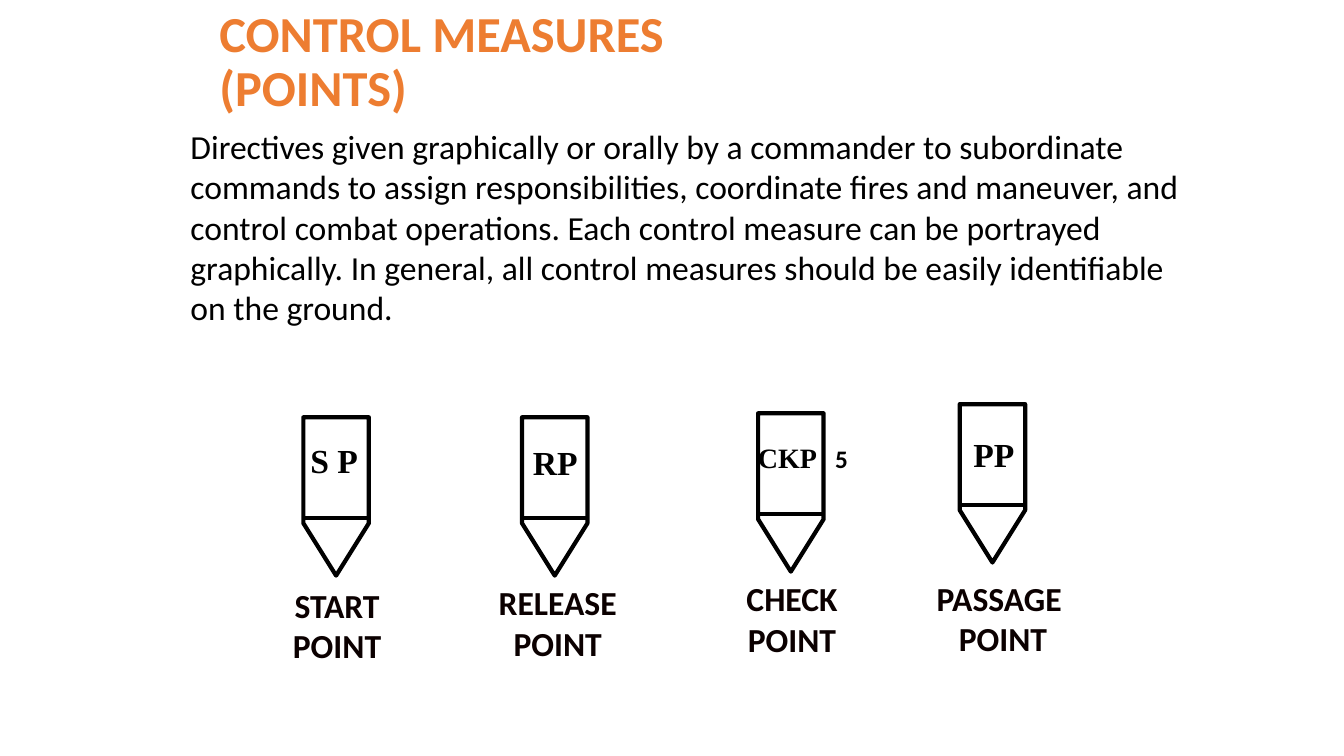
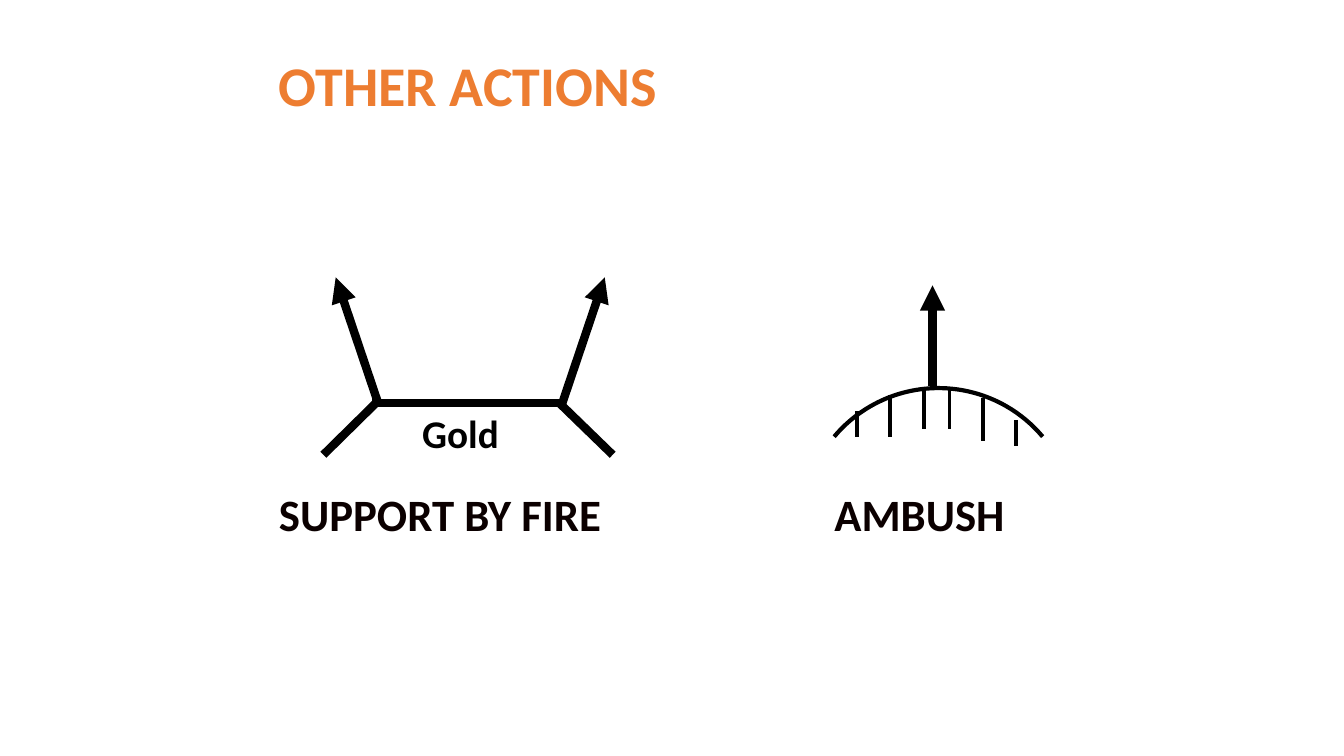
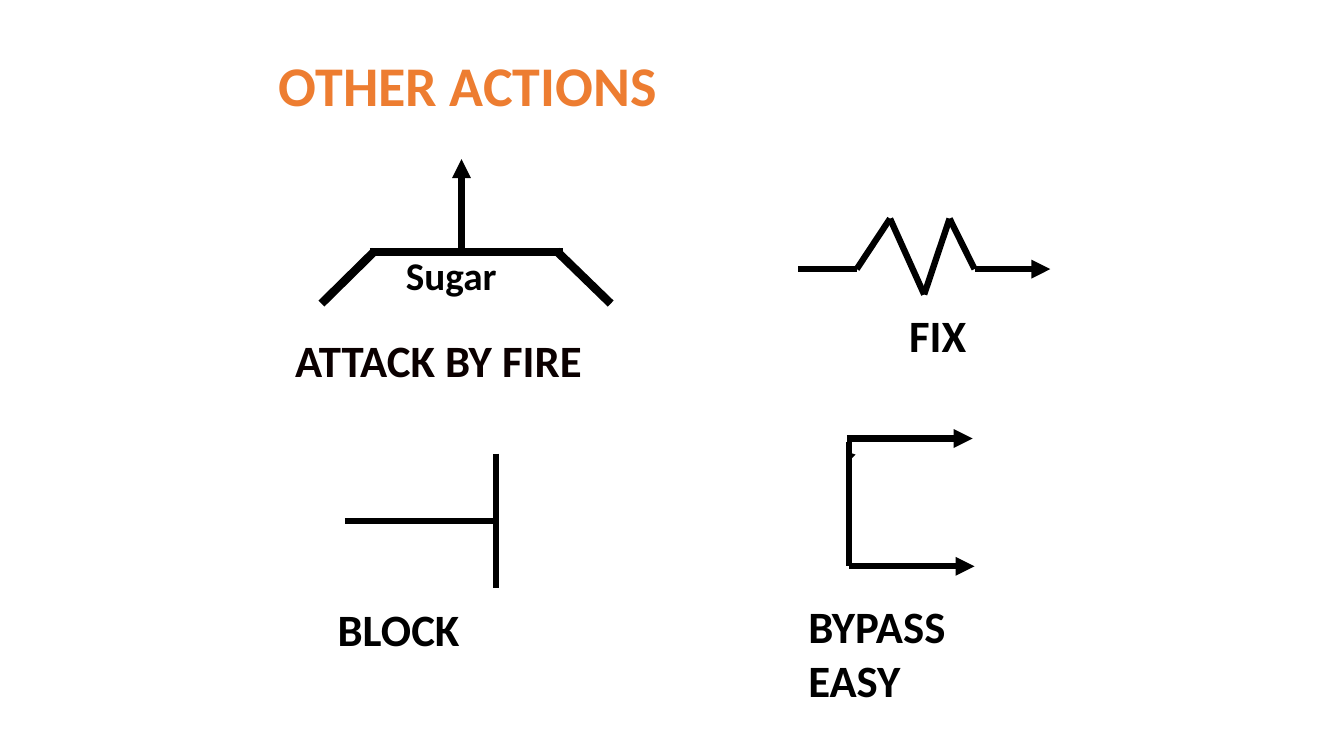
"""Builds three slides of tactical control measures and action symbols."""
import dataclasses
import itertools

import lxml.etree
import pptx
import pptx.dml.color
import pptx.enum.shapes
import pptx.enum.text
import pptx.oxml.ns
import pptx.shapes.autoshape
import pptx.slide
import pptx.util

Cm = pptx.util.Cm
COLOURS = {"title": "ED7D31", "ink": "000000", "name": "0B0000"}
SANS = "Calibri"
SERIF = "Times New Roman"


@dataclasses.dataclass
class Label:
    lines: tuple[str, ...]
    left: float
    top: float
    width: float
    height: float
    size: float = 32
    colour: str = "ink"
    font: str = SANS
    bold: bool = True
    wrap: bool = False
    centred: bool = False


@dataclasses.dataclass
class Stroke:
    x1: float
    y1: float
    x2: float
    y2: float
    weight: float = 4.5
    arrow: bool = False


@dataclasses.dataclass
class Marker:
    x: float
    y: float
    code: Label
    name: Label


def code_label(text: str, left: float, top: float, width: float, size: float = 24) -> Label:
    return Label((text,), left, top, width, 1.27, size, font=SERIF)


def point_label(lines: tuple[str, str], left: float, top: float, width: float) -> Label:
    return Label(lines, left, top, width, 2.31, 24, "name", centred=True)


BODY = (
    "Directives given graphically or orally by a commander to subordinate commands "
    "to assign responsibilities, coordinate fires and maneuver, and control combat "
    "operations. Each control measure can be portrayed graphically. In general, all "
    "control measures should be easily identifiable on the ground."
)

MARKERS = (
    Marker(8.47, 12.51, code_label("S P", 7.57, 10.95, 1.73),
           point_label(("START", "POINT"), 7.11, 14.61, 2.77)),
    Marker(13.98, 12.51, code_label("RP", 13.18, 11, 1.65),
           point_label(("RELEASE", "POINT"), 12.29, 14.55, 3.53)),
    Marker(19.93, 12.41, code_label("CKP", 18.85, 10.97, 2.01, 20),
           point_label(("CHECK", "POINT"), 18.54, 14.45, 2.84)),
    Marker(25.01, 12.18, code_label("PP", 24.28, 10.8, 1.55),
           point_label(("PASSAGE", " POINT"), 23.34, 14.43, 3.68)),
)

AMBUSH_TICKS = (
    (21.59, 10.36, 11), (22.43, 9.96, 11), (23.29, 9.8, 10.8),
    (23.93, 9.83, 10.8), (24.77, 10.03, 11.1), (25.6, 10.59, 11.23),
)

FIX_POINTS = (
    (20.12, 6.78), (21.59, 6.78), (22.43, 5.51), (23.29, 7.42),
    (23.93, 5.51), (24.56, 6.78), (26.47, 6.78),
)


def colour_of(name: str) -> pptx.dml.color.RGBColor:
    return pptx.dml.color.RGBColor.from_string(COLOURS[name])


def add_span(para, text: str, label: Label) -> None:
    span = para.add_run()
    span.text = text
    span.font.name = label.font
    span.font.size = pptx.util.Pt(label.size)
    span.font.bold = label.bold
    span.font.color.rgb = colour_of(label.colour)


def add_box(page: pptx.slide.Slide, label: Label):
    box = page.shapes.add_textbox(
        Cm(label.left), Cm(label.top), Cm(label.width), Cm(label.height))
    frame = box.text_frame
    frame.word_wrap = label.wrap
    return frame


def add_label(page: pptx.slide.Slide, label: Label) -> None:
    frame = add_box(page, label)
    frame.auto_size = pptx.enum.text.MSO_AUTO_SIZE.SHAPE_TO_FIT_TEXT
    for index, line in enumerate(label.lines):
        para = frame.add_paragraph() if index else frame.paragraphs[0]
        if label.centred:
            para.alignment = pptx.enum.text.PP_ALIGN.CENTER
        add_span(para, line, label)


def add_title(page: pptx.slide.Slide, lines: tuple[str, ...], left: float = 6.78,
              top: float = 0.64, width: float = 21.59, size: float = 40) -> None:
    label = Label(lines, left, top, width, 3.18, size, "title", wrap=True)
    frame = add_box(page, label)
    frame.vertical_anchor = pptx.enum.text.MSO_ANCHOR.MIDDLE
    para = frame.paragraphs[0]
    para.line_spacing = 0.9
    for index, line in enumerate(lines):
        if index:
            para.add_line_break()
        add_span(para, line, label)


def add_stroke(page: pptx.slide.Slide, stroke: Stroke) -> None:
    line = page.shapes.add_connector(
        pptx.enum.shapes.MSO_CONNECTOR.STRAIGHT,
        Cm(stroke.x1), Cm(stroke.y1), Cm(stroke.x2), Cm(stroke.y2))
    line.line.color.rgb = colour_of("ink")
    line.line.width = pptx.util.Pt(stroke.weight)
    qn = pptx.oxml.ns.qn
    if stroke.arrow:
        lxml.etree.SubElement(line.line._get_or_add_ln(), qn("a:tailEnd"), type="triangle")
    lxml.etree.SubElement(line._element.spPr, qn("a:effectLst"))


def add_outline(page: pptx.slide.Slide, kind: pptx.enum.shapes.MSO_SHAPE, x: float, y: float,
                width: float, height: float) -> pptx.shapes.autoshape.Shape:
    shape = page.shapes.add_shape(
        kind, Cm(x - width / 2), Cm(y - height / 2), Cm(width), Cm(height))
    shape.shadow.inherit = False
    shape.fill.background()
    shape.line.color.rgb = colour_of("ink")
    shape.line.width = pptx.util.Pt(3)
    return shape


def add_marker(page: pptx.slide.Slide, marker: Marker) -> None:
    plate = add_outline(
        page, pptx.enum.shapes.MSO_SHAPE.PENTAGON, marker.x, marker.y, 3.99, 1.65)
    plate.adjustments[0] = 0.8
    plate.rotation = 90
    divider = marker.y + 0.55
    add_stroke(page, Stroke(marker.x - 0.83, divider, marker.x + 0.83, divider, 3))
    add_label(page, marker.code)
    add_label(page, marker.name)


def add_fire_base(page: pptx.slide.Slide, x: float, y: float) -> None:
    for x1, y1, x2, y2 in ((0, 0, 4.87, 0), (4.7, -0.03, 6.07, 1.3), (0.13, -0.03, -1.22, 1.3)):
        add_stroke(page, Stroke(x + x1, y + y1, x + x2, y + y2, 6))


def draw_points(page: pptx.slide.Slide) -> None:
    add_title(page, ("CONTROL MEASURES ", "(POINTS)"), 5.28, 0, 23.5, 36)
    for marker in MARKERS:
        add_marker(page, marker)
    add_label(page, Label(("5",), 20.8, 11.05, 0.86, 1.02, 18))
    add_label(page, Label((BODY,), 4.55, 3.05, 25.4, 5.38, 24, bold=False, wrap=True))


def draw_support_and_ambush(page: pptx.slide.Slide) -> None:
    add_title(page, ("OTHER ACTIONS",))
    add_fire_base(page, 9.37, 10.16)
    for stroke in (
        Stroke(9.53, 10.16, 8.46, 6.99, 6, True),
        Stroke(14.17, 10.16, 15.24, 6.99, 6, True),
        Stroke(23.5, 9.73, 23.5, 7.19, 6, True),
    ):
        add_stroke(page, stroke)
    arc = add_outline(page, pptx.enum.shapes.MSO_SHAPE.ARC, 23.65, 13.21, 6.86, 6.86)
    arc.adjustments[0] = 220 * 0.6
    arc.adjustments[1] = 320 * 0.6
    for x, top, bottom in AMBUSH_TICKS:
        add_stroke(page, Stroke(x, top, x, bottom, 2.75))
    for label in (
        Label(("SUPPORT BY FIRE",), 6.78, 12.14, 8.71, 1.63, colour="name"),
        Label(("AMBUSH",), 20.78, 12.14, 4.85, 1.63, colour="name"),
        Label(("Gold",), 10.39, 10.18, 2.46, 1.45, 28),
    ):
        add_label(page, label)


def draw_attack_fix_block_bypass(page: pptx.slide.Slide) -> None:
    add_title(page, ("OTHER ACTIONS",))
    add_fire_base(page, 9.32, 6.35)
    for stroke in (
        Stroke(11.63, 6.35, 11.63, 4.01, arrow=True),
        Stroke(21.39, 11.13, 21.39, 14.27),
        Stroke(21.39, 11.43, 21.34, 11.38, 0.75, True),
        Stroke(21.39, 14.27, 24.56, 14.27, arrow=True),
        Stroke(21.34, 11.05, 24.51, 11.05, arrow=True),
        Stroke(8.69, 13.13, 12.5, 13.13),
        Stroke(12.5, 11.43, 12.5, 14.81),
    ):
        add_stroke(page, stroke)
    for start, end in itertools.pairwise(FIX_POINTS):
        add_stroke(page, Stroke(*start, *end, arrow=end == FIX_POINTS[-1]))
    for label in (
        Label(("ATTACK BY FIRE",), 7.19, 8.26, 7.82, 1.63, colour="name"),
        Label(("BYPASS", "EASY"), 20.12, 14.96, 4.01, 3),
        Label(("BLOCK",), 8.26, 15.04, 3.61, 1.63),
        Label(("FIX",), 22.66, 7.62, 1.98, 1.63),
        Label(("Sugar",), 9.98, 6.2, 2.82, 1.45, 28),
    ):
        add_label(page, label)


def main() -> None:
    deck = pptx.Presentation()
    deck.slide_width = Cm(33.87)
    deck.slide_height = Cm(19.05)
    for draw in (draw_points, draw_support_and_ambush, draw_attack_fix_block_bypass):
        draw(deck.slides.add_slide(deck.slide_layouts[6]))
    deck.save("out.pptx")


if __name__ == "__main__":
    main()
